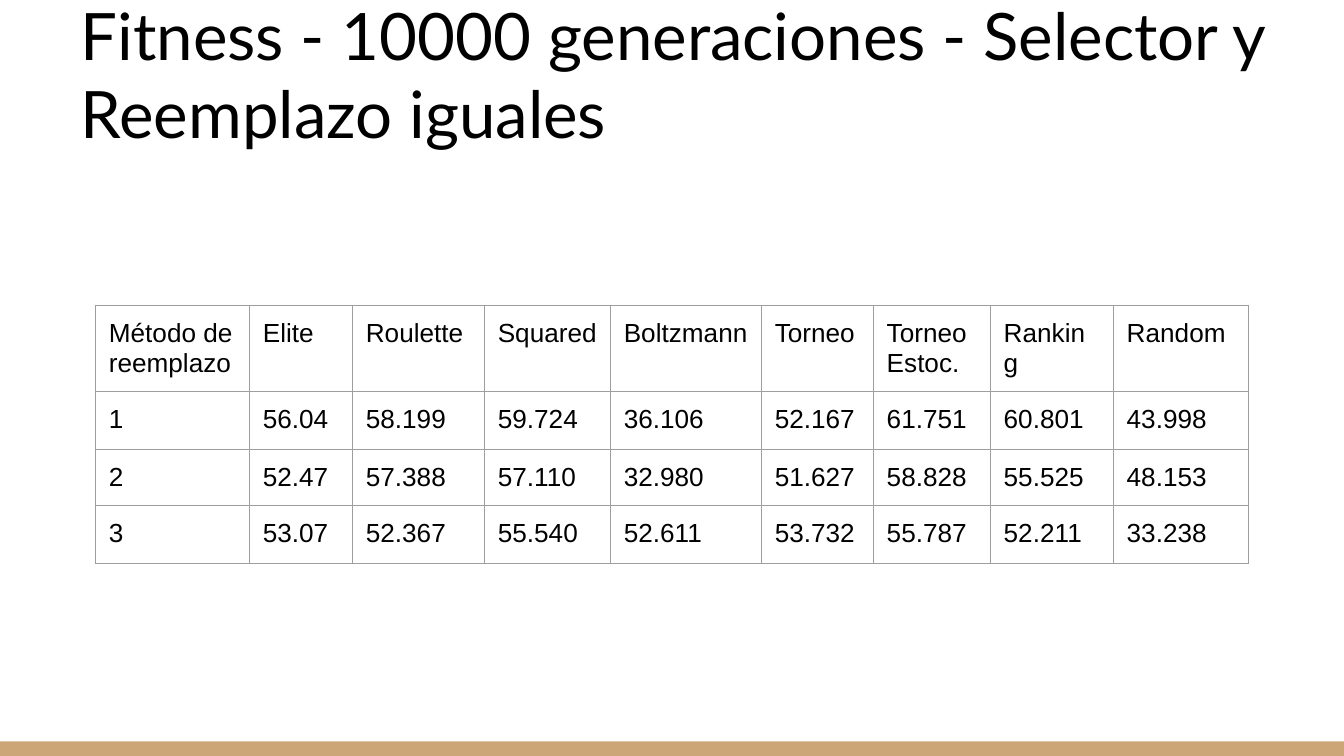
import pptx
import pptx.util
from pptx.dml.color import RGBColor
from pptx.enum.shapes import MSO_SHAPE
from pptx.enum.text import MSO_ANCHOR, MSO_AUTO_SIZE, PP_ALIGN
from pptx.oxml import parse_xml
from pptx.oxml.ns import nsdecls

Pt = pptx.util.Pt

# Content
TITLE = "Fitness - 10000 generaciones - Selector y Reemplazo iguales"
METHODS = ["Método de reemplazo", "Elite", "Roulette", "Squared", "Boltzmann",
           "Torneo", "Torneo\nEstoc.", "Ranking", "Random"]
RUNS = [
    ["1", "56.04", "58.199", "59.724", "36.106", "52.167", "61.751", "60.801", "43.998"],
    ["2", "52.47", "57.388", "57.110", "32.980", "51.627", "58.828", "55.525", "48.153"],
    ["3", "53.07", "52.367", "55.540", "52.611", "53.732", "55.787", "52.211", "33.238"],
]

# Layout, in points
SLIDE_WIDTH, SLIDE_HEIGHT = 720, 405
BAR_HEIGHT = 7.8
COLUMN_WIDTHS = [82.5, 55.2, 70.7, 67.5, 80.9, 60, 62.7, 65.9, 72.4]
ROW_HEIGHTS = [44, 31.2, 30.2, 31]
INSET = 7.2


def color(hex_code):
    return RGBColor.from_string(hex_code)


def write(frame, text, size, font, anchor=MSO_ANCHOR.TOP):
    frame.text = text
    frame.word_wrap = True
    frame.vertical_anchor = anchor
    frame.margin_left = frame.margin_right = Pt(INSET)
    frame.margin_top = frame.margin_bottom = Pt(INSET)
    for paragraph in frame.paragraphs:
        paragraph.alignment = PP_ALIGN.LEFT
        for run in paragraph.runs:
            run.font.size = Pt(size)
            run.font.name = font
            run.font.color.rgb = color("000000")


def add_borders(cell, hex_code, width):
    properties = cell._tc.get_or_add_tcPr()
    for position, side in enumerate(("lnL", "lnR", "lnT", "lnB")):
        properties.insert(position, parse_xml(
            f'<a:{side} {nsdecls("a")} w="{Pt(width)}"><a:solidFill>'
            f'<a:srgbClr val="{hex_code}"/></a:solidFill></a:{side}>'))


presentation = pptx.Presentation()
presentation.slide_width = Pt(SLIDE_WIDTH)
presentation.slide_height = Pt(SLIDE_HEIGHT)
slide = presentation.slides.add_slide(presentation.slide_layouts[5])
slide.background.fill.solid()
slide.background.fill.fore_color.rgb = color("FFFFFF")

# Bottom bar
bar = slide.shapes.add_shape(MSO_SHAPE.RECTANGLE, 0, Pt(SLIDE_HEIGHT - BAR_HEIGHT),
                             Pt(SLIDE_WIDTH), Pt(BAR_HEIGHT))
bar.shadow.inherit = False
bar.fill.solid()
bar.fill.fore_color.rgb = color("CCA677")
bar.line.fill.background()

# Title
title = slide.shapes.title
title.left, title.top, title.width, title.height = Pt(36), Pt(23), Pt(684), Pt(65.5)
write(title.text_frame, TITLE, size=35, font="Lato", anchor=MSO_ANCHOR.BOTTOM)
title.text_frame.auto_size = MSO_AUTO_SIZE.NONE

# Fitness table
rows = [METHODS] + RUNS
fitness = slide.shapes.add_table(len(rows), len(METHODS), Pt(51.1), Pt(163.7),
                                 Pt(sum(COLUMN_WIDTHS)), Pt(sum(ROW_HEIGHTS))).table
fitness.first_row = fitness.horz_banding = False
for column, width in zip(fitness.columns, COLUMN_WIDTHS):
    column.width = Pt(width)
for row, height, values in zip(fitness.rows, ROW_HEIGHTS, rows):
    row.height = Pt(height)
    for cell, value in zip(row.cells, values):
        write(cell.text_frame, value, size=14, font="Arial")
        cell.margin_left = cell.margin_right = Pt(INSET)
        cell.margin_top = cell.margin_bottom = Pt(INSET)
        cell.fill.background()
        add_borders(cell, "9E9E9E", 0.75)

presentation.save("out.pptx")
